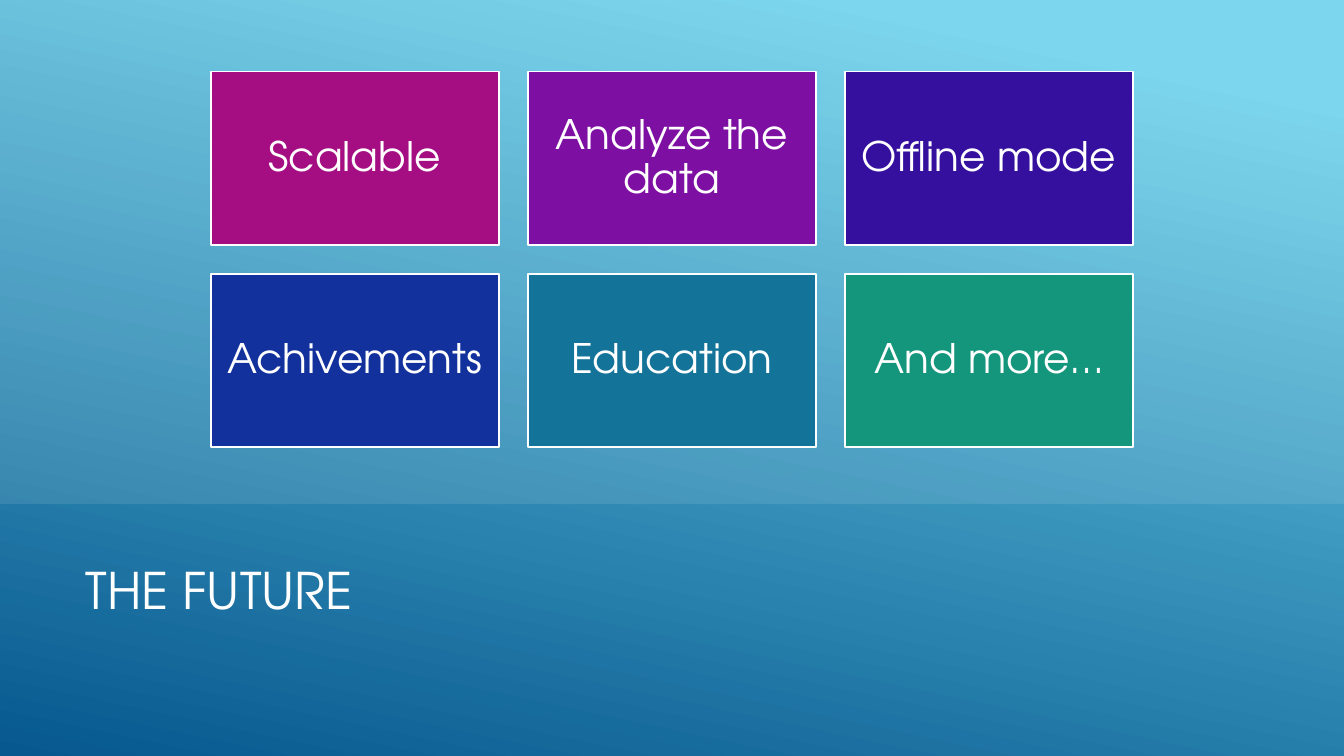
from lxml import etree
from pptx import Presentation
from pptx.dml.color import RGBColor
from pptx.enum.shapes import MSO_SHAPE
from pptx.enum.text import MSO_ANCHOR, MSO_AUTO_SIZE, PP_ALIGN
from pptx.oxml.ns import qn
from pptx.util import Inches, Pt

RECTANGLE = MSO_SHAPE.RECTANGLE
MIDDLE = MSO_ANCHOR.MIDDLE
LEFT, CENTER = PP_ALIGN.LEFT, PP_ALIGN.CENTER
NO_AUTOFIT = MSO_AUTO_SIZE.NONE
FONT = "TeX Gyre Adventor"
WHITE = "FFFFFF"


def color(hex_string):
    return RGBColor.from_string(hex_string)


def write_text(shape, text, size, alignment):
    frame = shape.text_frame
    frame.word_wrap = True
    frame.auto_size = NO_AUTOFIT
    frame.vertical_anchor = MIDDLE
    paragraph = frame.paragraphs[0]
    paragraph.alignment = alignment
    paragraph.line_spacing = 0.9
    run = paragraph.add_run()
    run.text = text
    run.font.size = Pt(size)
    run.font.name = FONT
    run.font.color.rgb = color(WHITE)


presentation = Presentation()
presentation.slide_width = Inches(13.33)
presentation.slide_height = Inches(7.5)
slide = presentation.slides.add_slide(presentation.slide_layouts[5])

# Gradient backdrop, behind the title
backdrop = slide.shapes.add_shape(
    RECTANGLE, 0, 0, presentation.slide_width, presentation.slide_height)
backdrop.shadow.inherit = False
backdrop.line.fill.background()
backdrop.fill.gradient()
backdrop.fill.gradient_angle = 258
for stop, (position, stop_color) in zip(
        backdrop.fill.gradient_stops, [(0.1, "6ED2EB"), (1, "06588E")]):
    stop.position = position
    stop.color.rgb = color(stop_color)
title = slide.shapes.title
title._element.addprevious(backdrop._element)

# Title
title.left, title.top = Inches(0.75), Inches(5.25)
title.width, title.height = Inches(10.14), Inches(1.26)
write_text(title, "THE FUTURE", 36, LEFT)

# Translucent upper panel
panel = slide.shapes.add_shape(
    MSO_SHAPE.SNIP_2_DIAG_RECTANGLE, 0, 0, presentation.slide_width, Inches(5))
panel.adjustments[0] = panel.adjustments[1] = 0
panel.shadow.inherit = False
panel.line.fill.background()
panel.fill.solid()
panel.fill.fore_color.rgb = color(WHITE)
panel_color = panel._element.spPr.find(qn("a:solidFill")).find(qn("a:srgbClr"))
etree.SubElement(panel_color, qn("a:alpha")).set("val", "10000")

# Grid of future features
features = [
    ("Scalable", "A50E82"),
    ("Analyze the data", "7D0FA2"),
    ("Offline mode", "35109F"),
    ("Achivements", "12319C"),
    ("Education", "137399"),
    ("And more…", "14967C"),
]
COLUMNS = 3
CARD_WIDTH, CARD_HEIGHT = 2.86, 1.72
GAP = 0.285
for index, (label, card_color) in enumerate(features):
    row, column = divmod(index, COLUMNS)
    card = slide.shapes.add_shape(
        RECTANGLE,
        Inches(2.09 + column * (CARD_WIDTH + GAP)),
        Inches(0.71 + row * (CARD_HEIGHT + GAP)),
        Inches(CARD_WIDTH), Inches(CARD_HEIGHT))
    card.shadow.inherit = False
    card.fill.solid()
    card.fill.fore_color.rgb = color(card_color)
    card.line.color.rgb = color(WHITE)
    card.line.width = Pt(1.25)
    frame = card.text_frame
    frame.margin_left = frame.margin_right = Inches(0.12)
    frame.margin_top = frame.margin_bottom = Inches(0.12)
    write_text(card, label, 29, CENTER)

presentation.save("out.pptx")
